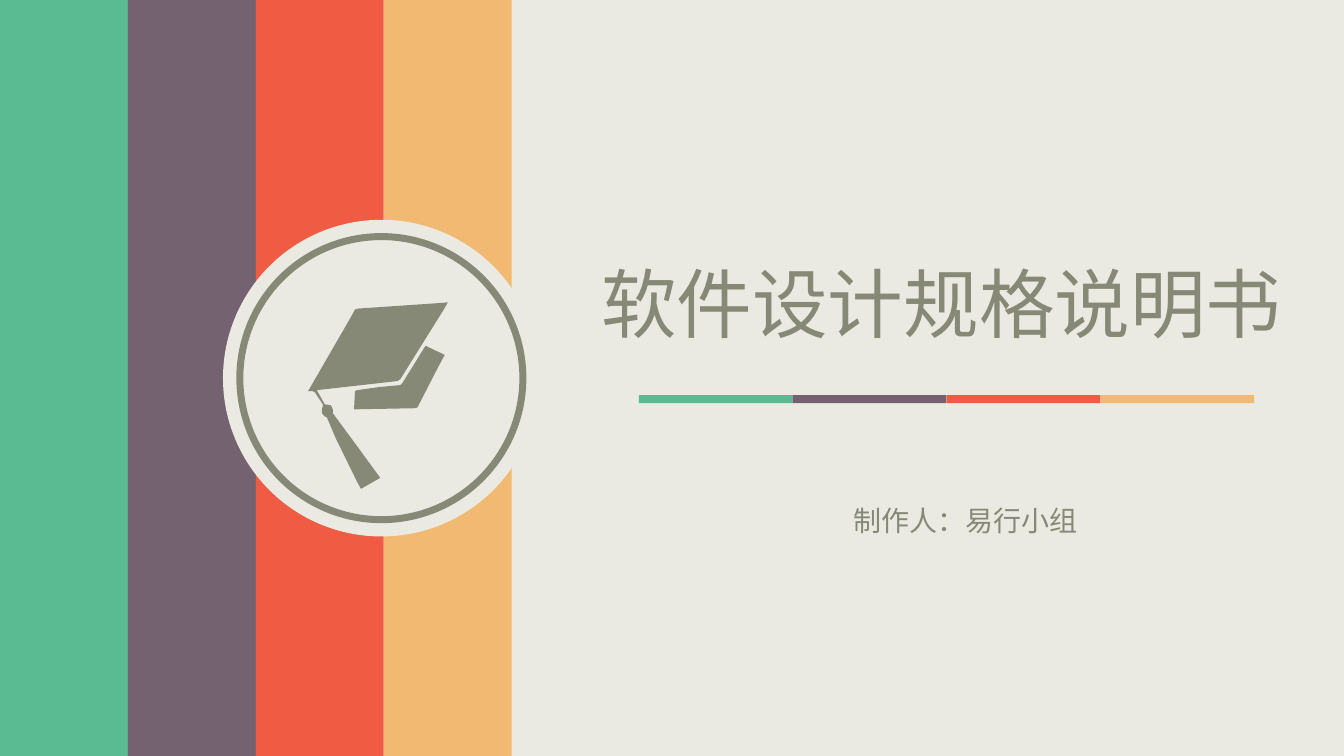
from pptx import Presentation
from pptx.dml.color import RGBColor
from pptx.enum.shapes import MSO_SHAPE
from pptx.enum.text import MSO_ANCHOR, MSO_AUTO_SIZE, PP_ALIGN
from pptx.oxml.ns import qn
from pptx.util import Pt
from lxml import etree

RECT, OVAL = MSO_SHAPE.RECTANGLE, MSO_SHAPE.OVAL
MIDDLE, FIXED = MSO_ANCHOR.MIDDLE, MSO_AUTO_SIZE.NONE
LEFT, CENTER = PP_ALIGN.LEFT, PP_ALIGN.CENTER
FACE = "Noto Sans CJK SC"
HUES = {
    "paper": "EBEAE2",
    "olive": "858976",
    "green": "5ABB93",
    "plum": "756271",
    "red": "EF5B43",
    "sand": "F2B973",
}
BANDS = ("green", "plum", "red", "sand")
BOARD = [
    (61.2, 121.7), (90.7, 70.6), (94.3, 64.1), (96.5, 63.4), (149.8, 59.8),
    (160.6, 59), (157.7, 64.1), (126.7, 113.8), (124.6, 115.2), (67, 121.7),
    (72.7, 131.8), (77, 132.5), (78.5, 135.4), (78.5, 138.2), (95, 160.6),
    (112.3, 184.3), (98.6, 192.2), (95.8, 187.2), (80.6, 156.2),
    (74.2, 141.1), (72.7, 140.4), (70.6, 138.2), (70.6, 135.4),
    (71.3, 133.2), (71.3, 131.8), (65.5, 123.1), (64.1, 122.4), (60.5, 122.4),
]
CROWN = [
    (93.6, 135.4), (94.3, 122.4), (95.8, 121.7), (111.6, 119.5),
    (126.7, 118.1), (128.2, 116.6), (143.3, 92.2), (144.7, 90),
    (158.4, 96.5), (153.4, 105.8), (139, 133.9), (137.5, 134.6),
]


def hue(name):
    return RGBColor.from_string(HUES[name])


def paint(shape, name):
    shape.shadow.inherit = False
    shape.fill.solid()
    shape.fill.fore_color.rgb = hue(name)
    shape.line.fill.background()
    return shape


def draw_bands(slide, left, top, width, height):
    step = width / len(BANDS)
    for i, name in enumerate(BANDS):
        box = map(Pt, (left + i * step, top, step, height))
        paint(slide.shapes.add_shape(RECT, *box), name)


def draw_disc(slide, left, top, size):
    box = map(Pt, (left, top, size, size))
    return paint(slide.shapes.add_shape(OVAL, *box), "paper")


def draw_badge(slide, left, top, size):
    draw_disc(slide, left, top, size)
    inset = 12
    ring = draw_disc(slide, left + inset, top + inset, size - 2 * inset)
    ring.line.color.rgb = hue("olive")
    ring.line.width = Pt(5)
    for part in (BOARD, CROWN):
        dots = [(Pt(left + x), Pt(top + y)) for x, y in part]
        pen = slide.shapes.build_freeform(*dots[0])
        pen.add_line_segments(dots[1:], close=True)
        paint(pen.convert_to_shape(), "olive")


def put_text(holder, text, box, size, align):
    for key, value in zip(("left", "top", "width", "height"), box):
        setattr(holder, key, Pt(value))
    frame = holder.text_frame
    frame.text = text
    look = {"word_wrap": False, "auto_size": FIXED, "vertical_anchor": MIDDLE}
    for key, value in look.items():
        setattr(frame, key, value)
    para = frame.paragraphs[0]
    look = {"alignment": align, "space_before": Pt(0), "line_spacing": 1.0}
    for key, value in look.items():
        setattr(para, key, value)
    font = para.runs[0].font
    for key, value in {"name": FACE, "size": Pt(size), "bold": False}.items():
        setattr(font, key, value)
    font.color.rgb = hue("olive")
    latin = font._element.find(qn("a:latin"))
    east = etree.Element(qn("a:ea"), typeface=FACE)
    latin.addnext(east)


def build_cover(deck):
    slide = deck.slides.add_slide(deck.slide_layouts[0])
    fill = slide.background.fill
    fill.solid()
    fill.fore_color.rgb = hue("paper")
    draw_bands(slide, 0, 0, 365.5, 540)
    draw_bands(slide, 456.4, 282.2, 439.4, 5.8)
    draw_badge(slide, 159.3, 157, 226.2)
    title, author = slide.placeholders
    put_text(title, "软件设计规格说明书", (412.4, 179.3, 520, 72.7), 54, CENTER)
    put_text(author, "制作人：易行小组", (602.6, 355.7, 200, 31.7), 20, LEFT)


def main():
    deck = Presentation()
    deck.slide_width, deck.slide_height = Pt(960), Pt(540)
    build_cover(deck)
    deck.save("out.pptx")


if __name__ == "__main__":
    main()
